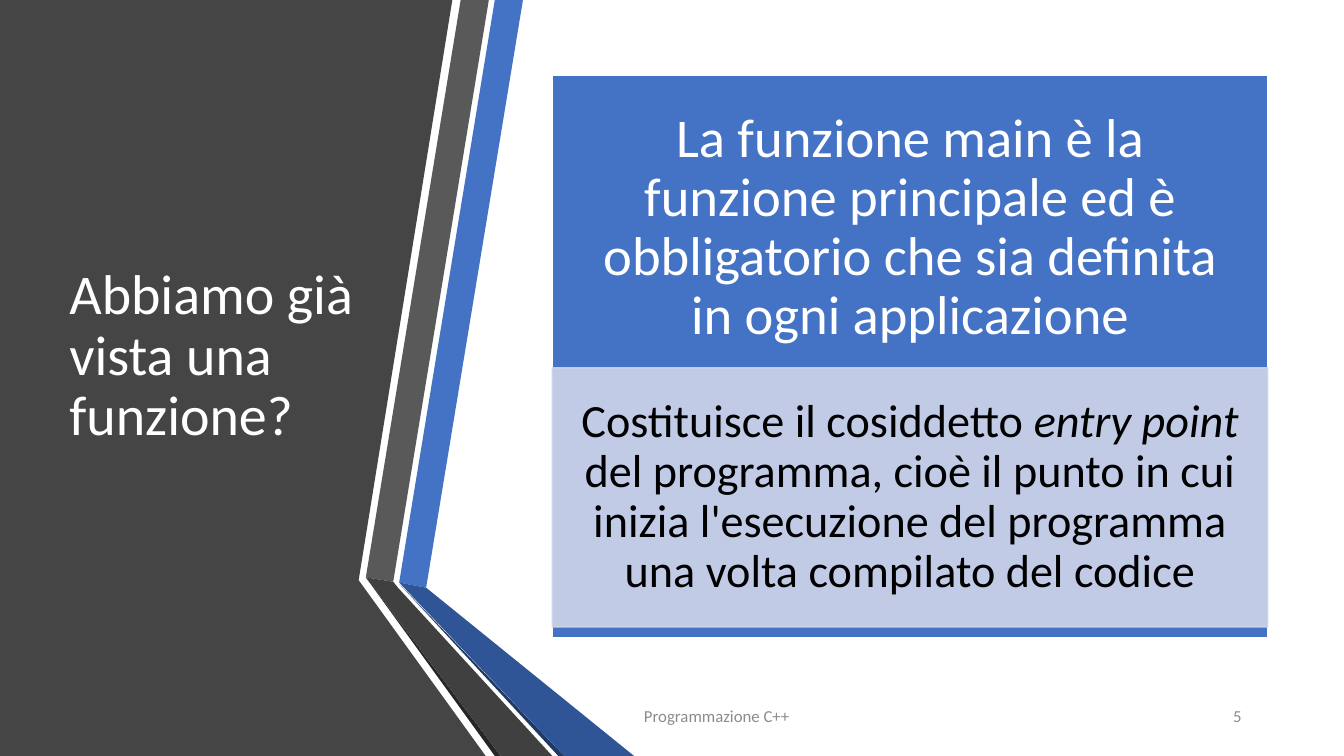
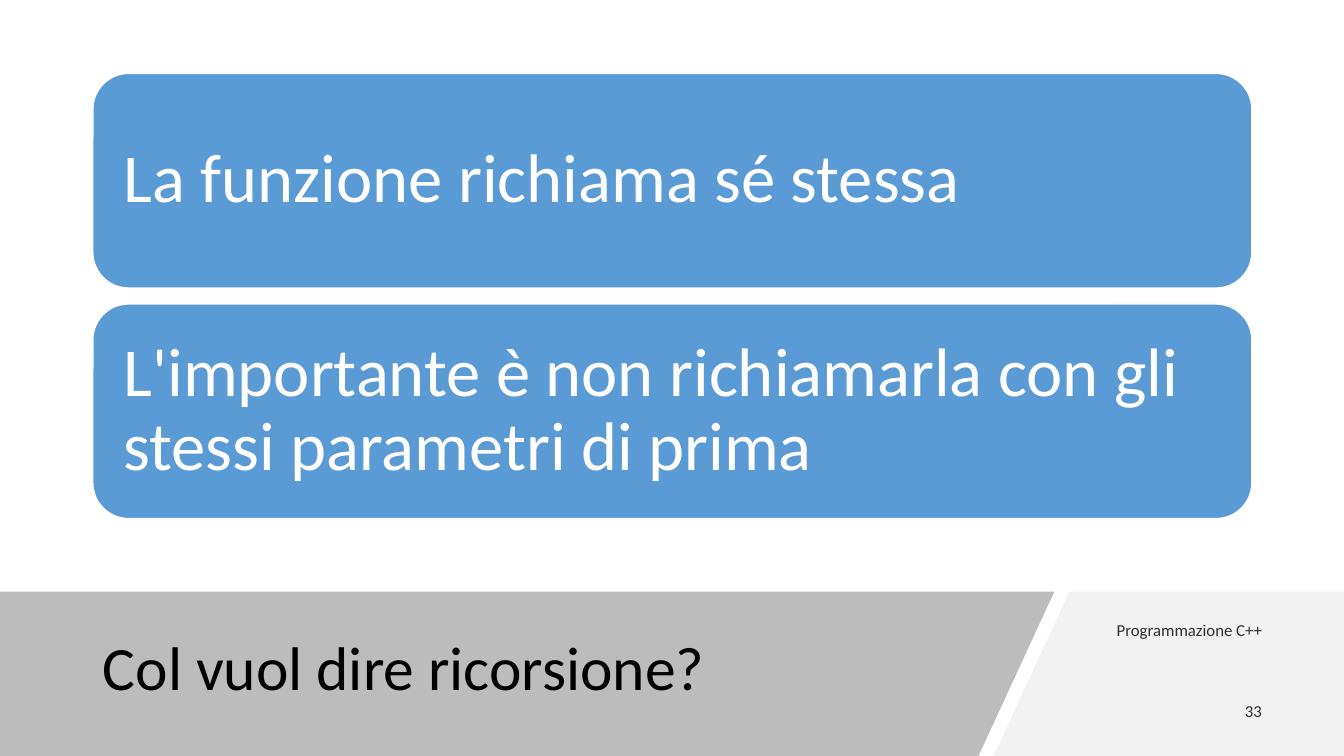
from dataclasses import dataclass

from lxml import etree
from pptx import Presentation
from pptx.dml.color import RGBColor
from pptx.enum.shapes import MSO_SHAPE
from pptx.enum.text import MSO_ANCHOR, PP_ALIGN
from pptx.oxml.ns import qn
from pptx.util import Cm, Pt

RECT, ROUND = MSO_SHAPE.RECTANGLE, MSO_SHAPE.ROUNDED_RECTANGLE
LEFT, MID, RIGHT = PP_ALIGN.LEFT, PP_ALIGN.CENTER, PP_ALIGN.RIGHT
CENTER = MSO_ANCHOR.MIDDLE
WIDE, HIGH = 33.87, 19.05


@dataclass(frozen=True)
class Theme:
    face: str = "Calibri"
    # Colours
    white: str = "FFFFFF"
    black: str = "000000"
    muted: str = "8C8C8C"
    dark: str = "454545"
    gray: str = "595959"
    shade: str = "404040"
    edge: str = "262626"
    blue: str = "4472C4"
    deep: str = "2F5597"
    navy: str = "203864"
    pale: str = "CFD5EA"
    sky: str = "5B9BD5"
    mist: str = "F2F2F2"
    # Type sizes
    side: int = 40
    title: int = 44
    main: int = 39
    note: int = 33
    card: int = 49
    foot: int = 12


class Deck:
    def __init__(self, theme):
        self.theme = theme
        self.prs = Presentation()
        self.prs.slide_width, self.prs.slide_height = Cm(WIDE), Cm(HIGH)
        self.slide = None

    def page(self):
        self.slide = self.prs.slides.add_slide(self.prs.slide_layouts[6])

    def veil(self, shape, part):
        """Make every colour set so far on the shape part opaque."""
        for color in shape.element.iter(qn("a:srgbClr")):
            alpha = etree.SubElement(color, qn("a:alpha"))
            alpha.set("val", str(part * 1000))

    def paint(self, shape, fill, line=None, part=100):
        shape.shadow.inherit = False
        shape.fill.solid()
        shape.fill.fore_color.rgb = RGBColor.from_string(fill)
        if line:
            shape.line.color.rgb = RGBColor.from_string(line)
            shape.line.width = Pt(1)
        else:
            shape.line.fill.background()
        if part < 100:
            self.veil(shape, part)

    def band(self, points, fill, part=100):
        dots = [(Cm(x), Cm(y)) for x, y in points]
        form = self.slide.shapes.build_freeform(*dots[0])
        form.add_line_segments(dots[1:], close=True)
        self.paint(form.convert_to_shape(), fill, part=part)

    def label(self, shape, parts, size, color, align, pad, space=0.9):
        """Fill a shape with one paragraph; every second part is italic."""
        frame = shape.text_frame
        frame.word_wrap = True
        frame.vertical_anchor = CENTER
        (frame.margin_left, frame.margin_top,
         frame.margin_right, frame.margin_bottom) = map(Cm, pad)
        para = frame.paragraphs[0]
        para.text = parts[0]
        for part in parts[1:]:
            para.add_run().text = part
        para.alignment, para.line_spacing = align, space
        for i, run in enumerate(para.runs):
            run.font.name, run.font.size = self.theme.face, Pt(size)
            run.font.color.rgb = RGBColor.from_string(color)
            run.font.italic = i % 2 == 1

    def text(self, words, spot, size, color, align=LEFT, part=100, space=0.9):
        box = self.slide.shapes.add_textbox(*map(Cm, spot))
        self.label(box, [words], size, color, align,
                   (0.25, 0.13, 0.25, 0.13), space)
        if part < 100:
            self.veil(box, part)

    def foot(self, words, spot, color, align=LEFT, part=100):
        self.text(words, spot, self.theme.foot, color, align, part, 1.0)

    def box(self, kind, spot, fill, line, parts, size, color, align, pad,
            part=100):
        shape = self.slide.shapes.add_shape(kind, *map(Cm, spot))
        self.paint(shape, fill, line, part)
        self.label(shape, parts, size, color, align, pad)


def entry(deck):
    look = deck.theme
    deck.page()

    # Side panel and folded ribbons, back to front
    deck.band([(0, 0), (11.4, 0), (9.04, 14.62), (12.24, HIGH), (0, HIGH)],
              look.dark)
    ribbons = [
        (look.blue, [(10.06, 14.68), (10.74, 14.81), (13.18, 0), (12.47, 0)]),
        (look.gray, [(12.32, 0), (11.61, 0), (9.22, 14.55), (9.91, 14.66)]),
        (look.edge, [(9.22, 14.55), (12.47, HIGH), (12.62, HIGH)]),
        (look.navy, [(10.06, 14.71), (14.07, HIGH), (14.22, HIGH)]),
        (look.deep, [(10.06, 14.68), (14.22, HIGH), (15.98, HIGH),
                     (10.74, 14.81)]),
        (look.shade, [(13.92, HIGH), (10.03, 14.81), (9.91, 14.66),
                      (9.22, 14.55), (12.62, HIGH)]),
    ]
    for fill, points in ribbons:
        deck.band(points, fill)

    # Title and footer
    deck.text("Abbiamo già vista una funzione?", (1.5, 1.91, 7.72, 14.17),
              look.side, look.white)
    deck.foot("Programmazione C++", (15.98, 17.53, 10.82, 1.02), look.muted)
    deck.foot("5", (28.52, 17.53, 3.02, 1.02), look.muted, RIGHT)

    # Main statement with its detail laid over the lower part
    deck.box(RECT, (13.92, 1.91, 18.03, 14.17), look.blue, look.white,
             ["La funzione main è la funzione principale ed è obbligatorio "
              "che sia definita in ogni applicazione"],
             look.main, look.white, MID, (0.76, 0.76, 0.76, 7.26))
    deck.box(RECT, (13.92, 9.27, 18.03, 6.53), look.pale, look.pale,
             ["Costituisce il cosiddetto ", "entry point",
              " del programma, cioè il punto in cui inizia l'esecuzione "
              "del programma una volta compilato del codice"],
             look.note, look.black, MID, (0.66, 0.13, 0.66, 0.13), 90)


def recur(deck):
    look = deck.theme
    deck.page()

    # Bottom bands
    top = 14.91
    deck.band([(26.95, top), (WIDE, top), (WIDE, HIGH), (25.04, HIGH)],
              look.mist)
    deck.band([(0, top), (26.57, top), (24.66, HIGH), (0, HIGH)],
              look.gray, 40)

    # Title and footer
    deck.text("Col vuol dire ricorsione?", (2.34, 15.37, 22.43, 3.05),
              look.title, look.black)
    deck.foot("Programmazione C++", (26.8, 15.37, 5.26, 1.02), look.black,
              RIGHT, 80)
    deck.foot("33", (28.32, 17.4, 3.73, 1.02), look.black, RIGHT, 80)

    # Cards
    first, step = 1.85, 5.81
    cards = ["La funzione richiama sé stessa",
             "L'importante è non richiamarla con gli stessi parametri di prima"]
    for i, words in enumerate(cards):
        deck.box(ROUND, (2.34, first + i * step, 29.21, 5.41), look.sky,
                 look.white, [words], look.card, look.white, LEFT, (0.51,) * 4)


def main():
    deck = Deck(Theme())
    entry(deck)
    recur(deck)
    deck.prs.save("out.pptx")


if __name__ == "__main__":
    main()
